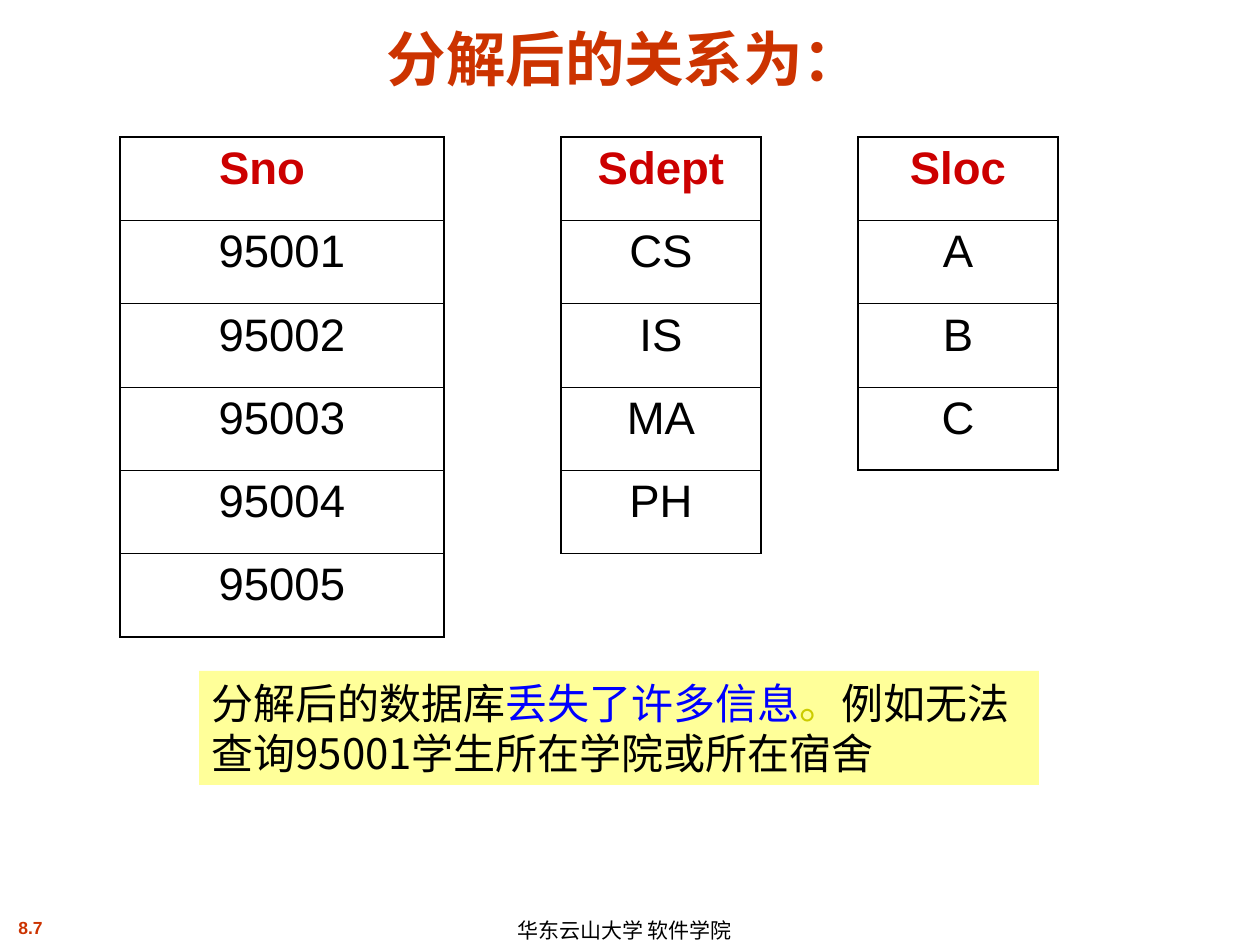
from dataclasses import dataclass

from lxml.etree import SubElement
from pptx import Presentation
from pptx.dml.color import RGBColor
from pptx.enum.shapes import MSO_SHAPE as Shape
from pptx.enum.text import MSO_ANCHOR as Anchor, MSO_AUTO_SIZE as AutoSize, PP_ALIGN as Align
from pptx.oxml.ns import qn
from pptx.util import Emu, Inches, Pt

# Content
TITLE = "分解后的关系为："
RELATIONS = [  # left, width, side margin, values with the heading first
    (120, 324, 74, ["Sno\t", "95001", "95002", "95003", "95004", "95005"]),
    (561, 200, 13, ["Sdept", "CS", "IS", "MA", "PH"]),
    (858, 200, 13, ["Sloc", "A", "B", "C"]),
]
NOTE = [
    ("分解后的数据库", "000000"),
    ("丢失了许多信息", "0000FF"),
    ("。", "CCCC00"),
    ("例如无法查询95001学生所在学院或所在宿舍", "000000"),
]
PAGE_NUMBER = "8.7"
FOOTER = "华东云山大学 软件学院"


@dataclass(frozen=True)
class Theme:
    latin: str = "Arial"
    chinese: str = "Noto Sans CJK SC"
    accent: str = "CC3300"
    heading: str = "CC0000"
    ink: str = "000000"
    note_fill: str = "FFFF99"
    title_size: int = 34
    table_size: int = 26
    note_size: int = 24
    footer_size: int = 12
    number_size: int = 10
    outer_line: float = 1.08
    inner_line: float = 0.45


THEME = Theme()
TABLE_TOP = 137
ROW_HEIGHT = 250 / 3


def px(value):
    return Emu(round(value * 914400 / 126))


def box(*values):
    return [px(value) for value in values]


def write(paragraph, text, *, size, color=THEME.ink, bold=False, font=THEME.latin,
          align=None, before=None, line=None):
    """Add one formatted run and set its paragraph's layout."""
    if align is not None:
        paragraph.alignment = align
    if line is not None:
        paragraph.line_spacing = line
    if before is not None:
        paragraph.space_before = Pt(before)
    run = paragraph.add_run()
    run.text = text
    run.font.name, run.font.size, run.font.bold = font, Pt(size), bold
    run.font.color.rgb = RGBColor.from_string(color)
    SubElement(run.font._element, qn("a:ea"), typeface=THEME.chinese)


def add_tab_stop(paragraph, position):
    stops = SubElement(paragraph._p.get_or_add_pPr(), qn("a:tabLst"))
    SubElement(stops, qn("a:tab"), pos=str(position), algn="l")


def set_borders(cell, **widths):
    properties = cell._tc.get_or_add_tcPr()
    for index, (side, width) in enumerate(widths.items()):
        line = properties.makeelement(qn(f"a:ln{side}"), {"w": str(Pt(width))})
        fill = SubElement(line, qn("a:solidFill"))
        SubElement(fill, qn("a:srgbClr"), val=THEME.ink)
        properties.insert(index, line)


def add_relation(slide, left, width, margin, values):
    count = len(values)
    frame = slide.shapes.add_table(
        count, 1, *box(left, TABLE_TOP, width, ROW_HEIGHT * count))
    table = frame.table
    table.first_row = table.horz_banding = False
    for index, value in enumerate(values):
        table.rows[index].height = px(ROW_HEIGHT)
        cell = table.cell(index, 0)
        cell.margin_left = cell.margin_right = px(margin)
        cell.fill.background()
        is_heading = index == 0
        paragraph = cell.text_frame.paragraphs[0]
        write(paragraph, value, size=THEME.table_size, bold=is_heading,
              color=THEME.heading if is_heading else THEME.ink,
              align=Align.CENTER, before=6.5)
        if "\t" in value:
            add_tab_stop(paragraph, Inches(1))
        set_borders(cell, L=THEME.outer_line, R=THEME.outer_line,
                    T=THEME.outer_line if is_heading else THEME.inner_line,
                    B=THEME.outer_line if index == count - 1 else THEME.inner_line)


def add_label(slide, bounds, text, anchor=Anchor.TOP, **style):
    frame = slide.shapes.add_textbox(*box(*bounds)).text_frame
    frame.word_wrap = False
    frame.vertical_anchor = anchor
    write(frame.paragraphs[0], text, **style)


def add_note(slide):
    shape = slide.shapes.add_shape(Shape.RECTANGLE, *box(199, 671, 840, 114))
    shape.shadow.inherit = False
    shape.fill.solid()
    shape.fill.fore_color.rgb = RGBColor.from_string(THEME.note_fill)
    shape.line.fill.background()
    frame = shape.text_frame
    frame.word_wrap = True
    frame.vertical_anchor = Anchor.TOP
    for text, color in NOTE:
        write(frame.paragraphs[0], text, size=THEME.note_size, color=color,
              font=THEME.chinese, align=Align.LEFT)


def main():
    presentation = Presentation()
    presentation.slide_width, presentation.slide_height = box(1260, 945)
    slide = presentation.slides.add_slide(presentation.slide_layouts[5])

    # Title
    title = slide.shapes.title
    title.left, title.top, title.width, title.height = box(31, 16, 1187, 84)
    title.text_frame.auto_size = AutoSize.NONE
    title.text_frame.vertical_anchor = Anchor.BOTTOM
    write(title.text_frame.paragraphs[0], TITLE, size=THEME.title_size,
          color=THEME.accent, bold=True, align=Align.CENTER)

    # Relations and the remark below them
    for relation in RELATIONS:
        add_relation(slide, *relation)
    add_note(slide)

    # Page number and footer
    add_label(slide, (-31, 911, 123, 34), PAGE_NUMBER, size=THEME.number_size,
              color=THEME.accent, bold=True, align=Align.CENTER, before=6.2)
    add_label(slide, (505, 913, 282, 32), FOOTER, anchor=Anchor.MIDDLE,
              size=THEME.footer_size, line=1.1)

    presentation.save("out.pptx")


if __name__ == "__main__":
    main()
